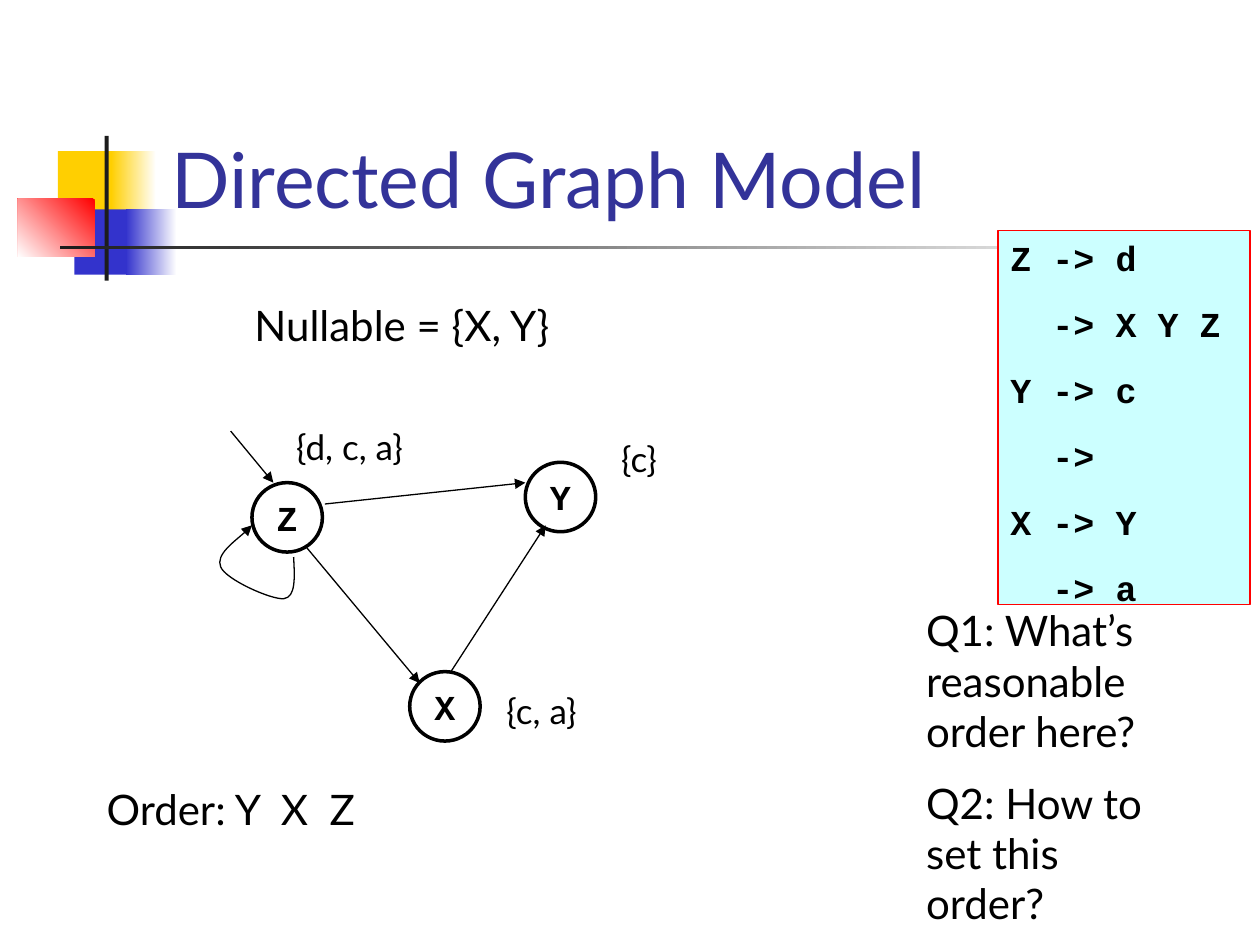
from lxml.etree import SubElement
from pptx import Presentation
from pptx.dml.color import RGBColor
from pptx.enum.shapes import MSO_CONNECTOR, MSO_SHAPE
from pptx.enum.text import MSO_ANCHOR, MSO_AUTO_SIZE, PP_ALIGN
from pptx.oxml.ns import qn
from pptx.util import Cm, Pt

MONO = "Courier New"
BLACK = "000000"

# Left, top, width, height in cm; one colour, or two colours and an angle
DECOR = [
    ((1.17, 3.05, 1.22, 1.32), ["FFCF01"], 0),
    ((2.24, 3.05, 0.91, 1.32), ["FFFFFF", "FFCF01"], 180),
    ((1.5, 4.22, 1.17, 1.32), ["3333CC"], 0),
    ((2.54, 4.22, 1.02, 1.32), ["FFFFFF", "3333CC"], 180),
    ((0.36, 4.01, 1.55, 1.17), ["FF0000", "FFFFFF"], 225),
    ((2.11, 2.74, 0.08, 2.92), ["1C1C1C"], 0),
    ((1.22, 4.95, 22.86, 0.08), ["FFFFFF", "1C1C1C"], 180),
]
TITLE = "Directed Graph Model"
GRAMMAR = ["Z -> d", "  -> X Y Z", "Y -> c", "  ->", "X -> Y", "  -> a"]
LABELS = [
    ("Nullable = {X, Y}", (4.88, 5.92, 9.73, 1.27), 24),
    ("Q1: What’s reasonable order here?", (18.42, 12.07, 5.51, 3.3), 24),
    ("Q2: How to set this order?", (18.42, 15.54, 5.51, 3.3), 24),
    ("{c}", (12.27, 8.69, 2.34, 1.12), 20),
    ("{c, a}", (9.96, 13.77, 2.54, 1.12), 20),
    ("{d, c, a}", (5.72, 8.46, 3.81, 1.12), 20),
    ("Order: Y  X  Z", (1.9, 15.67, 8.46, 1.27), 24),
]
NODES = [("Z", 5.08, 9.73), ("X", 8.26, 13.54), ("Y", 10.59, 9.32)]
NODE_W, NODE_H = 1.42, 1.4
EDGES = [
    (4.65, 8.69, 5.51, 9.73),
    (6.55, 10.16, 10.59, 9.73),
    (9.09, 13.54, 11, 10.59),
    (6.15, 11, 8.46, 13.77),
]
# Start point, then three Bézier points for each curve
LOOP = [
    (5.92, 11.23),
    (5.94, 11.63), (5.97, 12.04), (5.72, 12.07),
    (5.46, 12.09), (4.55, 11.68), (4.45, 11.43),
    (4.34, 11.18), (4.98, 10.72), (5.08, 10.59),
]


def rgb(code):
    return RGBColor.from_string(code)


def cms(nums):
    return [Cm(n) for n in nums]


def write(shape, lines, size=20, font="Lato", color=BLACK, bold=False,
          align=PP_ALIGN.LEFT, anchor=MSO_ANCHOR.TOP, wrap=True, gap=0):
    frame = shape.text_frame
    frame.word_wrap = wrap
    frame.auto_size = MSO_AUTO_SIZE.NONE
    frame.vertical_anchor = anchor
    for i, line in enumerate(lines):
        para = frame.add_paragraph() if i else frame.paragraphs[0]
        para.alignment = align
        para.space_before = Pt(gap if i else 0)
        run = para.add_run()
        run.text = line
        run.font.size = Pt(size)
        run.font.name = font
        run.font.bold = bold
        run.font.color.rgb = rgb(color)


def draw(kind, box, fills=(), angle=0, line=None, width=0.75):
    """Add a preset shape with no fill, a plain fill or a gradient."""
    shape = shapes.add_shape(kind, *cms(box))
    shape.shadow.inherit = False
    fill = shape.fill
    if len(fills) == 2:
        fill.gradient()
        fill.gradient_angle = angle
        for stop, code in zip(fill.gradient_stops, fills):
            stop.color.rgb = rgb(code)
    elif fills:
        fill.solid()
        fill.fore_color.rgb = rgb(fills[0])
    else:
        fill.background()
    if line:
        stroke(shape, line, width)
    else:
        shape.line.fill.background()
    return shape


def stroke(shape, color=BLACK, width=0.75):
    shape.line.color.rgb = rgb(color)
    shape.line.width = Pt(width)


def point(shape):
    """Style a line and put an arrowhead at its end."""
    stroke(shape)
    props = shape._element.spPr
    SubElement(props.find(qn("a:ln")), qn("a:tailEnd"), type="triangle")
    if props.find(qn("a:effectLst")) is None:
        SubElement(props, qn("a:effectLst"))


def bend(shape):
    """Turn each three straight segments into one cubic curve."""
    segs = list(shape._element.iter(qn("a:lnTo")))
    for i in range(0, len(segs), 3):
        curve = segs[i]
        curve.tag = qn("a:cubicBezTo")
        for seg in segs[i + 1:i + 3]:
            curve.append(seg[0])
            seg.getparent().remove(seg)


deck = Presentation()
deck.slide_width, deck.slide_height = Cm(25.4), Cm(19.05)
slide = deck.slides.add_slide(deck.slide_layouts[5])
shapes = slide.shapes

for box, fills, angle in DECOR:
    draw(MSO_SHAPE.RECTANGLE, box, fills, angle)

title = shapes.title
title.left, title.top, title.width, title.height = cms((3.2, 0.58, 21.64, 4.06))
write(title, [TITLE], size=44, color="333399", anchor=MSO_ANCHOR.BOTTOM)
shapes._spTree.append(title._element)  # in front of the decoration

code = draw(MSO_SHAPE.RECTANGLE, (20.12, 4.65, 5.08, 7.54), ["CCFFFF"],
            line="FF0000")
write(code, GRAMMAR, font=MONO, bold=True, gap=13.7)

for name, x, y in NODES:
    node = draw(MSO_SHAPE.OVAL, (x, y, NODE_W, NODE_H), line=BLACK, width=2)
    write(node, [name], font=MONO, bold=True, align=PP_ALIGN.CENTER,
          anchor=MSO_ANCHOR.MIDDLE, wrap=False)

for ends in EDGES:
    point(shapes.add_connector(MSO_CONNECTOR.STRAIGHT, *cms(ends)))

pen = shapes.build_freeform(*cms(LOOP[0]))
pen.add_line_segments([cms(p) for p in LOOP[1:]], close=False)
loop = pen.convert_to_shape()
loop.fill.background()
bend(loop)
point(loop)

for text, box, size in LABELS:
    write(shapes.add_textbox(*cms(box)), [text], size=size)

deck.save("out.pptx")
